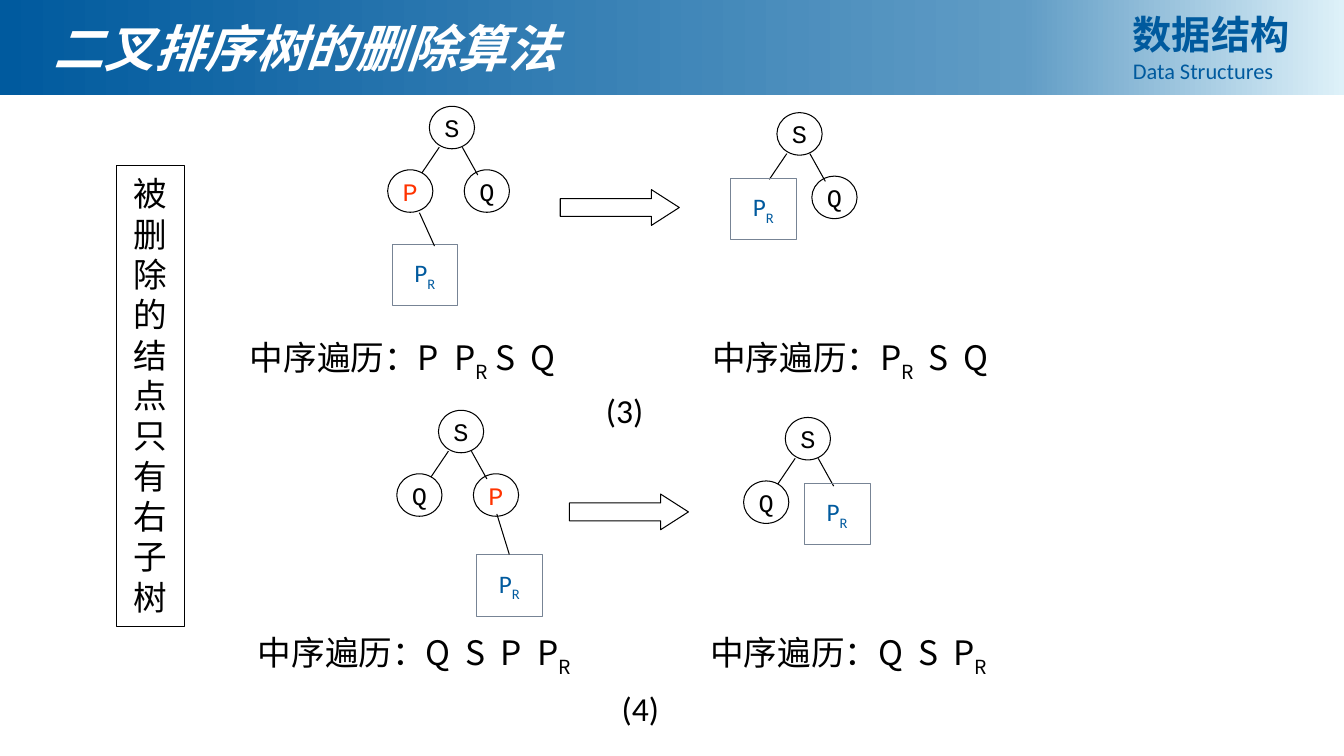
from copy import deepcopy
from dataclasses import dataclass

from lxml import etree
from pptx import Presentation
from pptx import util as u
from pptx.dml.color import RGBColor
from pptx.enum import shapes, text
from pptx.oxml.ns import qn


@dataclass(frozen=True)
class Theme:
    blue: str = "005A9E"
    middle_blue: str = "609CC5"
    pale_blue: str = "DEF1F9"
    grey: str = "778495"
    red: str = "FF3300"
    black: str = "000000"
    white: str = "FFFFFF"
    latin: str = "Calibri"
    chinese: str = "Noto Sans CJK SC"
    node: str = "Courier New"
    heading: str = "Times New Roman"
    title_size: int = 36
    course_size: int = 28
    body_size: int = 24
    node_size: int = 18
    small_size: int = 16
    leading: float = 1.2


NODE = (1.14, 1.07)
SUBTREE = (1.65, 1.55)
CHILDREN = {"left": (-1.05, 1.6), "right": (0.88, 1.6)}
EDGES = {"left": (0.25, 1.03, -0.19, 1.68), "right": (0.83, 1.03, 1.22, 1.73)}


def apply(target, values):
    for name, value in values.items():
        setattr(target, name, value)


class SlideBuilder:
    def __init__(self, page, theme):
        self.page = page
        self.theme = theme

    def fill_text(self, box, lines, align=text.PP_ALIGN.LEFT,
                  anchor=text.MSO_ANCHOR.MIDDLE, insets=(0.25, 0.13), wrap=True):
        side, top = map(u.Cm, insets)
        frame = box.text_frame
        apply(frame, {"margin_left": side, "margin_right": side, "margin_top": top,
                      "margin_bottom": top, "vertical_anchor": anchor,
                      "word_wrap": wrap, "auto_size": text.MSO_AUTO_SIZE.NONE})
        for index, (words, font, size, color, style) in enumerate(lines):
            para = frame.add_paragraph() if index else frame.paragraphs[0]
            apply(para, {"alignment": align, "space_before": u.Pt(0)})
            if font == self.theme.chinese:
                para.line_spacing = u.Pt(size * self.theme.leading)
            first, *rest = words.split("_")
            runs = [(first, False)]
            for part in rest:
                runs += [(part[0], True), (part[1:], False)]
            for content, lowered in runs:
                if content:
                    self.span(para, content, lowered, font, size, color, style)

    def span(self, para, content, lowered, font, size, color, style):
        span = para.add_run()
        span.text = content
        apply(span.font, {"name": font, "size": u.Pt(size), **style})
        span.font.color.rgb = RGBColor.from_string(color)
        properties = span._r.get_or_add_rPr()
        if lowered:
            properties.set("baseline", "-25000")
        east_asian = etree.Element(qn("a:ea"), typeface=self.theme.chinese)
        properties.find(qn("a:latin")).addnext(east_asian)

    def shape(self, kind, place, line=None, width=0.75, fill=None):
        box = self.page.shapes.add_shape(kind, *map(u.Cm, place))
        box.shadow.inherit = False
        if fill:
            box.fill.solid()
            box.fill.fore_color.rgb = RGBColor.from_string(fill)
        else:
            box.fill.background()
        if line:
            box.line.color.rgb = RGBColor.from_string(line)
            box.line.width = u.Pt(width)
        else:
            box.line.fill.background()
        return box

    def banner(self, place, stops):
        box = self.shape(shapes.MSO_SHAPE.RECTANGLE, place)
        box.fill.gradient()
        box.fill.gradient_angle = 0
        first = next(box._element.iter(qn("a:gs")))
        first.addnext(deepcopy(first))
        for stop, (position, color) in zip(box.fill.gradient_stops, stops):
            stop.position = position
            stop.color.rgb = RGBColor.from_string(color)
        self.page.shapes._spTree.insert(2, box._element)

    def title(self, place, words):
        box = self.page.shapes.title
        apply(box, dict(zip(("left", "top", "width", "height"), map(u.Cm, place))))
        theme = self.theme
        self.fill_text(box, [(words, theme.heading, theme.title_size, theme.white,
                              {"bold": True, "italic": True})])

    def label(self, place, lines, **layout):
        box = self.page.shapes.add_textbox(*map(u.Cm, place))
        self.fill_text(box, lines, **layout)

    def caption(self, left, top, width, words):
        theme = self.theme
        self.label((left, top, width, 1.3),
                   [(words, theme.chinese, theme.body_size, theme.black, {})])

    def number(self, left, top, words):
        theme = self.theme
        self.label((left, top, 1.96, 1.27),
                   [(words, theme.latin, theme.body_size, theme.black, {})],
                   align=text.PP_ALIGN.CENTER)

    def column(self, place, words):
        theme = self.theme
        box = self.shape(shapes.MSO_SHAPE.RECTANGLE, place, theme.black, 0.25, theme.white)
        self.fill_text(box, [(words, theme.chinese, theme.body_size, theme.black, {})],
                       align=text.PP_ALIGN.CENTER, anchor=text.MSO_ANCHOR.TOP,
                       insets=(0.25, 0.2))

    def arrow(self, left, top):
        box = self.shape(shapes.MSO_SHAPE.RIGHT_ARROW, (left, top, 3, 0.9), self.theme.black)
        box.adjustments[0] = 0.5
        box.adjustments[1] = 0.78

    def node(self, left, top, words):
        theme = self.theme
        box = self.shape(shapes.MSO_SHAPE.OVAL, (left, top, *NODE), theme.black)
        color = theme.red if words == "P" else theme.black
        self.fill_text(box, [(words, theme.node, theme.node_size, color, {})],
                       align=text.PP_ALIGN.CENTER, insets=(0, 0), wrap=False)

    def subtree(self, left, top):
        theme = self.theme
        box = self.shape(shapes.MSO_SHAPE.RECTANGLE, (left, top, *SUBTREE), theme.grey, 0.25)
        self.fill_text(box, [("P_R", theme.latin, theme.node_size, theme.blue, {})],
                       align=text.PP_ALIGN.CENTER)
        return box

    def edge(self, left, top, ends):
        x1, y1, x2, y2 = ends
        points = (left + x1, top + y1, left + x2, top + y2)
        line = self.page.shapes.add_connector(
            shapes.MSO_CONNECTOR.STRAIGHT, *map(u.Cm, points))
        line.line.color.rgb = RGBColor.from_string(self.theme.black)
        line.line.width = u.Pt(0.75)
        etree.SubElement(line._element.spPr, qn("a:effectLst"))
        return line

    def tree(self, left, top, children, subtree, link=None, joined=False):
        self.node(left, top, "S")
        for side, words in children.items():
            dx, dy = CHILDREN[side]
            self.node(left + dx, top + dy, words)
        for ends in EDGES.values():
            self.edge(left, top, ends)
        box = self.subtree(left + subtree[0], top + subtree[1])
        if link:
            line = self.edge(left, top, link)
            if joined:
                line.end_connect(box, 0)


def main():
    theme = Theme()
    deck = Presentation()
    apply(deck, {"slide_width": u.Cm(33.87), "slide_height": u.Cm(19.05)})
    slide = SlideBuilder(deck.slides.add_slide(deck.slide_layouts[5]), theme)

    slide.banner((0, 0, 33.87, 2.39),
                 [(0, theme.blue), (0.76, theme.middle_blue), (1, theme.pale_blue)])
    slide.title((1.1, 0.3, 17, 1.8), "二叉排序树的删除算法")
    slide.label((28.3, 0.13, 4.85, 2.13),
                [("数据结构", theme.chinese, theme.course_size, theme.blue, {"bold": True}),
                 ("Data Structures", theme.latin, theme.small_size, theme.blue, {})],
                align=text.PP_ALIGN.JUSTIFY, anchor=text.MSO_ANCHOR.TOP)
    slide.column((2.92, 4.17, 1.73, 11.6), "被删除的结点只有右子树")

    slide.tree(10.82, 2.68, {"left": "P", "right": "Q"}, (-0.94, 3.47),
               (-0.25, 2.68, 0.13, 3.52))
    slide.arrow(14.12, 4.78)
    slide.tree(19.58, 2.84, {"right": "Q"}, (-1.17, 1.65))
    slide.caption(6.05, 8.5, 9.17, "中序遍历：P  P_R S  Q")
    slide.caption(17.7, 8.5, 7.9, "中序遍历：P_R  S  Q")
    slide.number(14.76, 9.7, "(3)")

    slide.tree(11.05, 10.34, {"left": "Q", "right": "P"}, (0.96, 3.63),
               (1.47, 2.61, 1.79, 3.63), joined=True)
    slide.arrow(14.35, 12.45)
    slide.tree(19.79, 10.52, {"left": "Q"}, (0.48, 1.65))
    slide.caption(6.25, 15.93, 9.17, "中序遍历：Q  S  P  P_R")
    slide.caption(17.65, 15.93, 7.9, "中序遍历：Q  S  P_R")
    slide.number(15.16, 17.22, "(4)")

    deck.save("out.pptx")


if __name__ == "__main__":
    main()
